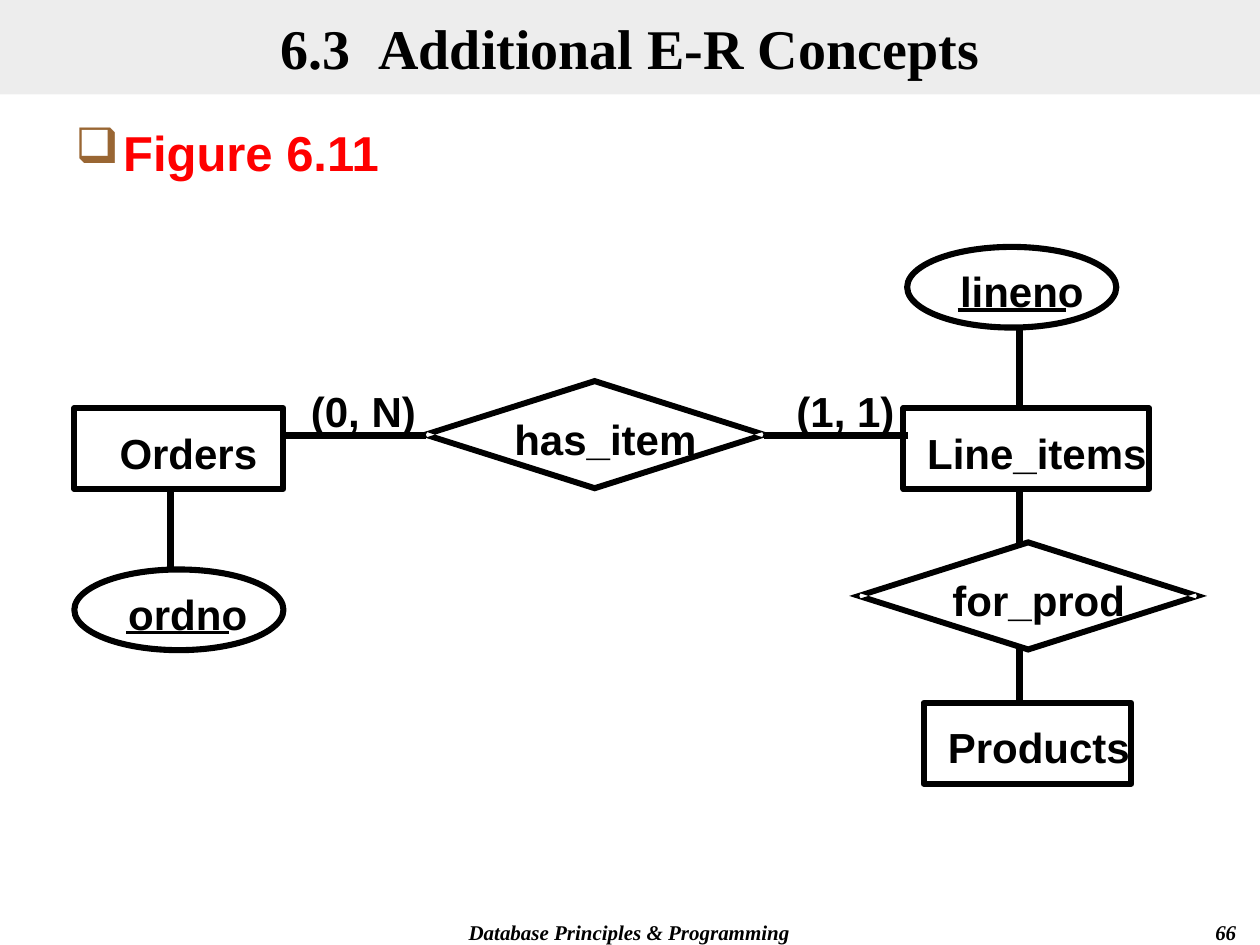
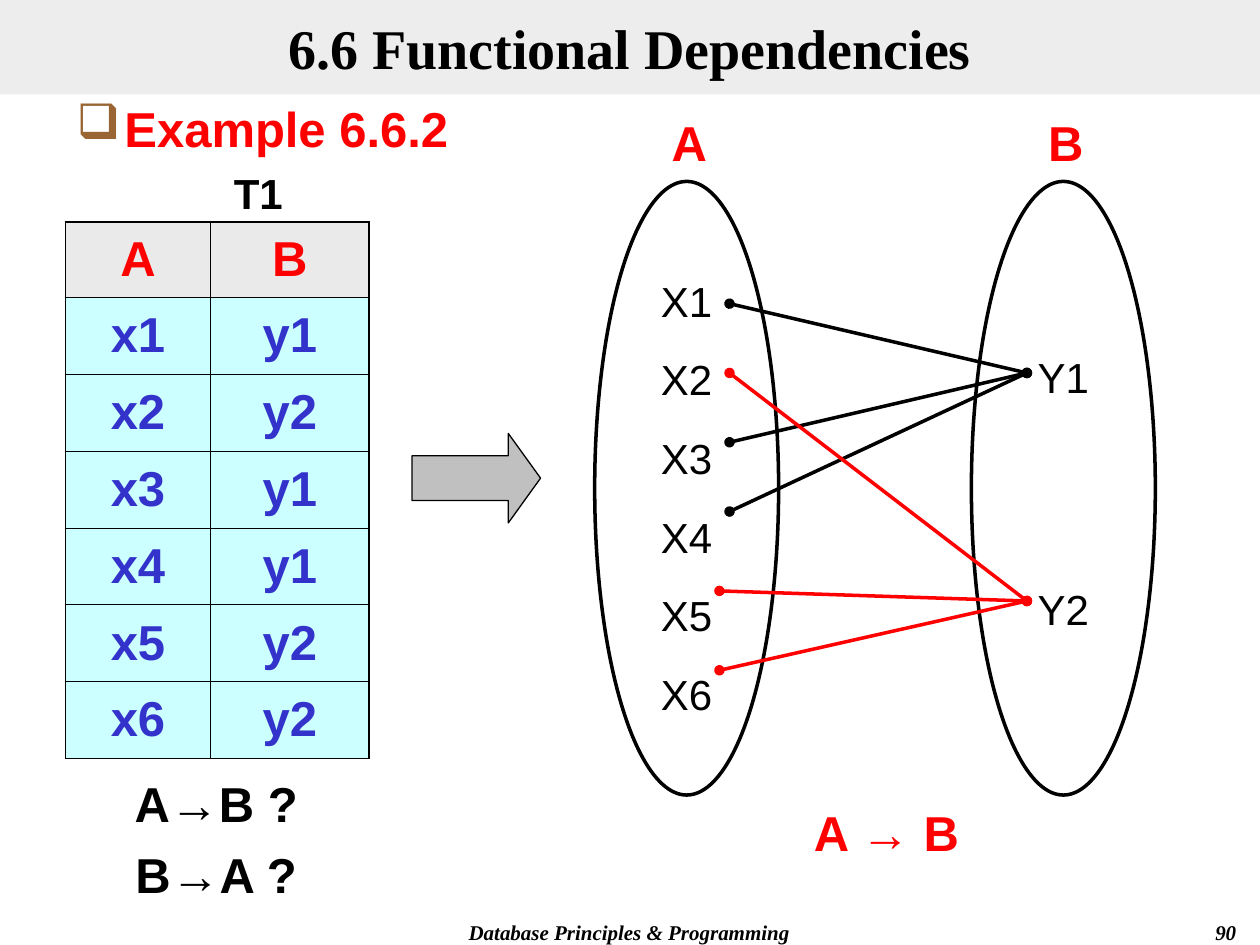
from dataclasses import dataclass

from lxml.etree import SubElement as Sub
from pptx import Presentation
from pptx.dml.color import RGBColor as Rgb
from pptx.enum.shapes import MSO_CONNECTOR as Link, MSO_SHAPE as Kind
from pptx.enum.text import MSO_ANCHOR as Anchor, MSO_AUTO_SIZE as Auto, PP_ALIGN as Align
from pptx.oxml.ns import qn
from pptx.util import Inches, Pt


@dataclass(frozen=True)
class Theme:
    """Colours, fonts and sizes that the slides share."""
    black: str = "000000"
    red: str = "FF0000"
    blue: str = "3333CC"
    brown: str = "996633"
    band: str = "DDDDDD"
    head: str = "EAEAEA"
    cyan: str = "CCFFFF"
    grey: str = "C0C0C0"
    sans: str = "Arial"
    serif: str = "Times New Roman"
    title: int = 32
    large: int = 28
    label: int = 24
    small: int = 12
    outline: float = 3.5
    bar: float = 4
    thin: float = 2


T = Theme()
PAD = (0.1, 0.05, 0.1, 0.05)
BARE = (0, 0, 0, 0)
PITCH = 43.8
LINE = 27.6


def area(*box):
    """Turn a box in inches into lengths."""
    return [Inches(v) for v in box]


def write(par, text, size, color=T.black, bold=True, face=T.sans, slant=False):
    """Add one styled run to a paragraph."""
    run = par.add_run()
    run.text = text
    font = run.font
    font.name, font.size, font.bold, font.italic = face, Pt(size), bold, slant
    font.color.rgb = Rgb.from_string(color)
    return run


def inset(frame, pad):
    """Set the four margins of a text frame."""
    (frame.margin_left, frame.margin_top,
     frame.margin_right, frame.margin_bottom) = area(*pad)


def fill_text(frame, lines, size, color=T.black, pad=PAD, gap=0, align=Align.CENTER, **style):
    """Write lines as paragraphs with an even gap between them."""
    frame.auto_size = Auto.NONE
    frame.vertical_anchor = Anchor.TOP
    inset(frame, pad)
    for i, text in enumerate(lines):
        par = frame.paragraphs[0] if i == 0 else frame.add_paragraph()
        par.alignment = align
        if i:
            par.space_before = Pt(gap)
        write(par, text, size, color, **style)


def add_text(slide, box, lines, size, color=T.black, wrap=True, **style):
    """Add a text box."""
    frame = slide.shapes.add_textbox(*area(*box)).text_frame
    frame.word_wrap = wrap
    fill_text(frame, lines, size, color, **style)
    return frame


def add_form(slide, kind, box, width, fill=None):
    """Add a preset shape with a black outline."""
    form = slide.shapes.add_shape(kind, *area(*box))
    form.shadow.inherit = False
    if fill:
        form.fill.solid()
        form.fill.fore_color.rgb = Rgb.from_string(fill)
    else:
        form.fill.background()
    form.line.color.rgb = Rgb.from_string(T.black)
    form.line.width = Pt(width)
    return form


def add_line(slide, start, end, width, color=T.black, dots=False):
    """Add a straight line, with round ends if asked."""
    line = slide.shapes.add_connector(Link.STRAIGHT, *area(*start, *end))
    line.line.color.rgb = Rgb.from_string(color)
    line.line.width = Pt(width)
    props = line._element.spPr
    if dots:
        for tag in ("a:headEnd", "a:tailEnd"):
            Sub(props.find(qn("a:ln")), qn(tag), type="oval")
    Sub(props, qn("a:effectLst"))


def add_base(deck, parts, number):
    """Start a slide with its title band and footers."""
    slide = deck.slides.add_slide(deck.slide_layouts[5])
    title = slide.shapes.title
    title.left, title.top, title.width, title.height = area(0, 0, 10, 0.75)
    title.fill.solid()
    title.fill.fore_color.rgb = Rgb.from_string(T.band)
    Sub(title._element.spPr.find(".//" + qn("a:srgbClr")), qn("a:alpha"), val="50000")
    frame = title.text_frame
    frame.auto_size, frame.vertical_anchor = Auto.NONE, Anchor.MIDDLE
    inset(frame, PAD)
    par = frame.paragraphs[0]
    par.alignment = Align.CENTER
    for text, space in parts:
        run = write(par, text, T.title, face=T.serif)
        if space:
            run.font._element.set("spc", str(space * 100))
    for box, text, align in (
        ((2.83, 7.25, 4.33, 0.25), "Database Principles & Programming", Align.CENTER),
        ((7.83, 7.25, 2.08, 0.25), number, Align.RIGHT),
    ):
        add_text(slide, box, [text], T.small, align=align, face=T.serif, slant=True)
    return slide


def add_point(slide, box, text):
    """Add the red bulleted heading."""
    frame = slide.shapes.add_textbox(*area(*box)).text_frame
    frame.word_wrap = True
    props = frame.paragraphs[0]._p.get_or_add_pPr()
    props.set("marL", str(Inches(0.38)))
    props.set("indent", str(-Inches(0.38)))
    Sub(Sub(props, qn("a:buClr")), qn("a:srgbClr"), val=T.brown)
    Sub(props, qn("a:buChar"), char="❑")
    fill_text(frame, [text], T.large, T.red, align=Align.LEFT)


def add_node(slide, kind, box, text, shift, width):
    """Add an entity or attribute with its name."""
    x, y = box[:2]
    add_form(slide, kind, box, T.outline)
    add_name(slide, x + shift, y + 0.15, width, text)


def add_name(slide, x, y, width, text):
    """Add a bold diagram label."""
    add_text(slide, (x, y, width, 0.4), [text], T.label, wrap=False, pad=BARE)


def add_bond(slide, x, y, text, shift, width):
    """Add a relationship diamond round a centre point."""
    outer = [(-1.42, 0), (0, 0.45), (1.42, 0), (0, -0.45)]
    inner = [(0, -0.4), (1.33, 0.02), (1.34, 0), (1.33, -0.02),
             (0, 0.4), (-1.33, -0.02), (-1.34, 0), (-1.33, 0.02)]
    rings = [[(Inches(x + dx), Inches(y + dy)) for dx, dy in ring] for ring in (outer, inner)]
    build = slide.shapes.build_freeform(*rings[0][0])
    build.add_line_segments(rings[0][1:])
    build.move_to(*rings[1][0])
    build.add_line_segments(rings[1][1:])
    form = build.convert_to_shape()
    form.shadow.inherit = False
    form.fill.solid()
    form.fill.fore_color.rgb = Rgb.from_string(T.black)
    form.line.fill.background()
    add_name(slide, x + shift, y - 0.17, width, text)


def add_model(slide, x, y):
    """Draw the entity diagram from its top left corner."""
    rect, oval = Kind.RECTANGLE, Kind.OVAL
    for kind, dx, dy, width, text, shift, span in (
        (rect, 0, 1.28, 1.66, "Orders", 0.36, 1.09),
        (rect, 6.58, 1.28, 1.95, "Line_items", 0.19, 1.74),
        (rect, 6.74, 3.62, 1.65, "Products", 0.19, 1.45),
        (oval, 0, 2.56, 1.66, "ordno", 0.43, 0.94),
        (oval, 6.61, 0, 1.66, "lineno", 0.42, 0.98),
    ):
        add_node(slide, kind, (x + dx, y + dy, width, 0.64), text, shift, span)
    add_bond(slide, x + 4.13, y + 1.49, "has_item", -0.64, 1.45)
    add_bond(slide, x + 7.57, y + 2.77, "for_prod", -0.6, 1.37)
    add_name(slide, x + 1.88, y + 1.1, 0.83, "(0, N)")
    add_name(slide, x + 5.73, y + 1.1, 0.78, "(1, 1)")
    for left, right, row, width in (
        (1.65, 2.79, 1.5, T.bar), (5.47, 6.62, 1.5, T.bar),
        (0.41, 1.23, 3.06, T.thin), (7.01, 7.87, 0.5, T.thin),
    ):
        add_line(slide, (x + left, y + row), (x + right, y + row), width)
    for col, top, low in ((0.76, 1.92, 2.56), (7.5, 0.64, 1.28),
                          (7.5, 1.92, 2.35), (7.5, 3.19, 3.62)):
        add_line(slide, (x + col, y + top), (x + col, y + low), T.bar)


def add_edge(cell, edges):
    """Set the border widths of a cell."""
    props = cell._tc.get_or_add_tcPr()
    for i, (tag, width) in enumerate(edges.items()):
        line = Sub(props, qn("a:" + tag), w=str(Pt(width)))
        Sub(Sub(line, qn("a:solidFill")), qn("a:srgbClr"), val=T.black)
        props.remove(line)
        props.insert(i, line)


def add_grid(slide, x, y):
    """Draw table T1 with its name and two questions."""
    rows = [("A", "B")] + [(f"x{i}", f"y{j}") for i, j in enumerate((1, 2, 1, 1, 2, 2), 1)]
    last = len(rows) - 1
    grid = slide.shapes.add_table(len(rows), 2, *area(x, y, 2.41, 4.26)).table
    for col, width in zip(grid.columns, (1.15, 1.26)):
        col.width = Inches(width)
    for r, row in enumerate(rows):
        grid.rows[r].height = Inches(0.61 if r else 0.6)
        for c, text in enumerate(row):
            cell = grid.cell(r, c)
            cell.fill.solid()
            cell.fill.fore_color.rgb = Rgb.from_string(T.cyan if r else T.head)
            cell.vertical_anchor = Anchor.MIDDLE
            inset(cell, PAD)
            par = cell.text_frame.paragraphs[0]
            par.alignment = Align.CENTER
            write(par, text, T.large, T.blue if r else T.red)
            outer = {"lnL": c == 0, "lnR": c == 1, "lnT": r == 0, "lnB": r == last}
            add_edge(cell, {tag: 1.08 if rim else 0.45 for tag, rim in outer.items()})
    add_text(slide, (x + 0.82, y - 0.48, 1.42, 0.5), ["T1"], T.label)
    add_text(slide, (x + 0.32, y + 4.33, 1.75, 1.13), ["A→B ?", "B→A ?"], T.large, gap=7)


def add_set(slide, x, y, name, items, skip, step):
    """Draw a named oval whose items stand on a shared pitch."""
    frame = add_form(slide, Kind.OVAL, (x, y, 1.46, 4.87), T.thin).text_frame
    frame.word_wrap = True
    fill_text(frame, items, T.label, bold=False, gap=step * PITCH - LINE,
              pad=(0.1, 0.03 + skip * PITCH / 72, 0.1, 0))
    add_text(slide, (x + 0.12, y - 0.6, 1.26, 0.57), [name], T.large, T.red)


def add_map(slide, x, y):
    """Draw the mapping from set A to set B."""
    add_set(slide, x, y, "A", [f"X{i}" for i in range(1, 7)], 0, 1)
    add_set(slide, x + 2.99, y, "B", ["Y1", "Y2"], 1, 3)
    for color, goal, starts in (
        (T.black, 1.52, ((1.07, 0.97), (1.07, 2.07), (1.07, 2.62))),
        (T.red, 3.33, ((1.07, 1.52), (0.99, 3.25), (0.99, 3.88))),
    ):
        for dx, dy in starts:
            add_line(slide, (x + dx, y + dy), (x + 3.43, y + goal), T.thin, color, True)
    add_text(slide, (x + 1.44, y + 4.88, 1.75, 0.57), ["A → B"], T.large, T.red)


def main():
    """Build and save both slides."""
    deck = Presentation()
    deck.slide_width, deck.slide_height = area(10, 7.5)
    slide = add_base(deck, [("6.3", 0), (" ", 8), ("Additional E-R Concepts", 0)], "66")
    add_point(slide, (0.5, 0.92, 9, 6.17), "Figure 6.11")
    add_model(slide, 0.59, 1.96)
    slide = add_base(deck, [("6.6 Functional Dependencies", 0)], "90")
    add_point(slide, (0.51, 0.73, 9, 6.17), "Example 6.6.2")
    add_grid(slide, 0.52, 1.76)
    add_map(slide, 4.72, 1.44)
    arrow = add_form(slide, Kind.RIGHT_ARROW, (3.27, 3.44, 1.02, 0.71), 0.75, T.grey)
    arrow.adjustments[1] = 0.36
    deck.save("out.pptx")


if __name__ == "__main__":
    main()
